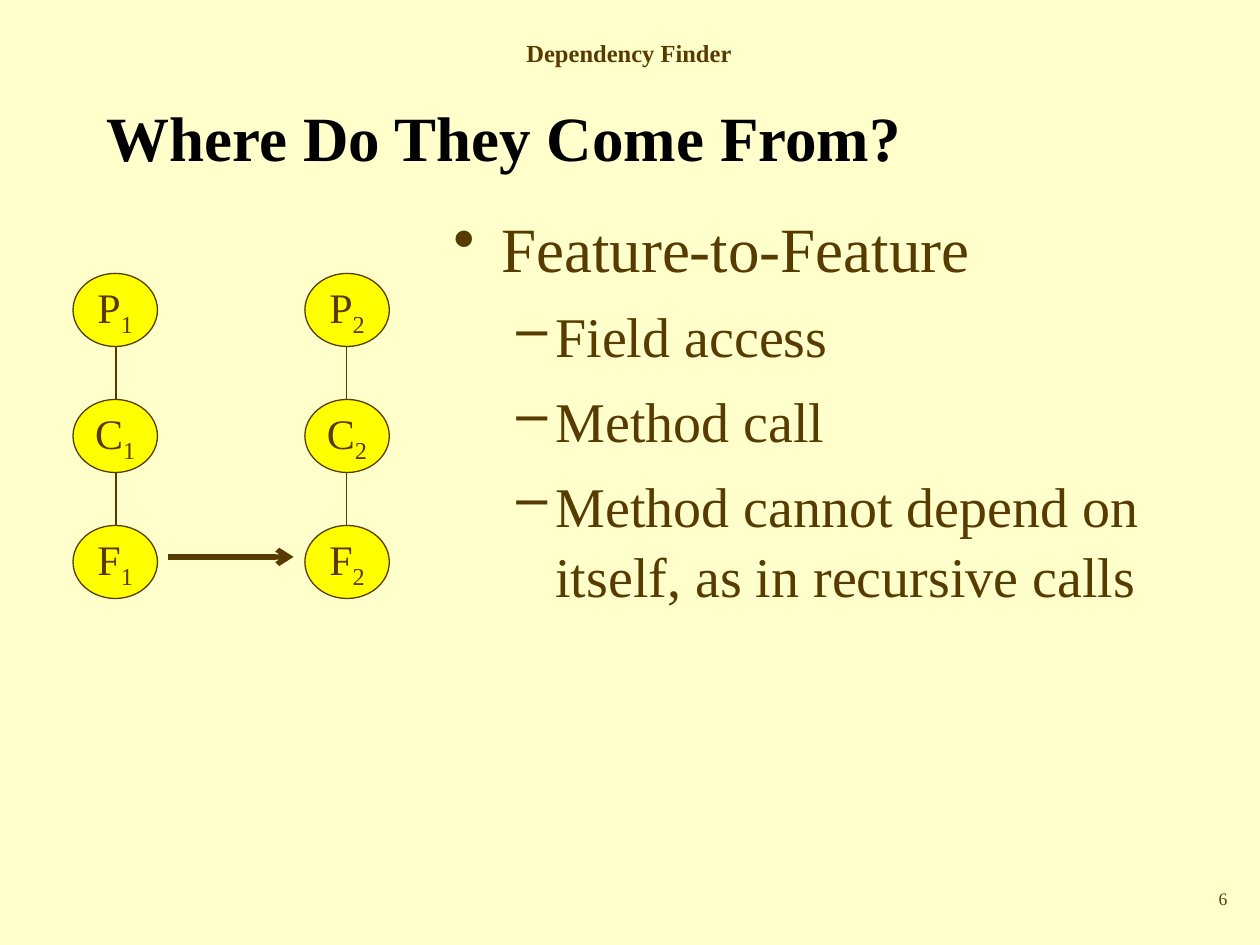
from pptx import Presentation
from pptx.dml.color import RGBColor
from pptx.enum.shapes import MSO_CONNECTOR, MSO_SHAPE
from pptx.enum.text import MSO_ANCHOR, PP_ALIGN
from pptx.oxml.ns import qn
from pptx.util import Inches, Pt
from lxml.etree import SubElement

CREAM = RGBColor(0xFF, 0xFF, 0xCC)
BROWN = RGBColor(0x58, 0x3B, 0x00)
YELLOW = RGBColor(0xFF, 0xFF, 0x00)
BLACK = RGBColor(0, 0, 0)


class SlideBuilder:
    font_name = "Times New Roman"

    def __init__(self, slide):
        self.slide = slide
        slide.background.fill.solid()
        slide.background.fill.fore_color.rgb = CREAM

    def run(self, paragraph, text, size, color=BROWN, bold=False):
        run = paragraph.add_run()
        run.text = text
        run.font.name = self.font_name
        run.font.size = Pt(size)
        run.font.color.rgb = color
        run.font.bold = bold
        return run

    def frame(self, left, top, width, height, wrap=True):
        box = self.slide.shapes.add_textbox(
            Inches(left), Inches(top), Inches(width), Inches(height))
        box.text_frame.word_wrap = wrap
        return box.text_frame

    def text(self, area, text, size, color=BROWN, bold=False,
             align=PP_ALIGN.LEFT, anchor=MSO_ANCHOR.TOP, wrap=True):
        frame = self.frame(*area, wrap=wrap)
        frame.vertical_anchor = anchor
        paragraph = frame.paragraphs[0]
        paragraph.alignment = align
        self.run(paragraph, text, size, color, bold)

    def bullets(self, area, items):
        frame = self.frame(*area)
        for index, (level, text) in enumerate(items):
            mark, size, margin, hanging, space = (
                ("–", 32, 0.81, 0.31, 8) if level else ("•", 36, 0.38, 0.38, 9))
            paragraph = frame.add_paragraph() if index else frame.paragraphs[0]
            properties = paragraph._p.get_or_add_pPr()
            properties.set("marL", str(Inches(margin)))
            properties.set("indent", str(-Inches(hanging)))
            bullet_color = SubElement(properties, qn("a:buClr"))
            SubElement(bullet_color, qn("a:srgbClr"), val=str(BROWN))
            SubElement(properties, qn("a:buChar"), char=mark)
            paragraph.level = level
            paragraph.line_spacing = 1.05
            if index:
                paragraph.space_before = Pt(space)
            self.run(paragraph, text, size)

    def line(self, start, end, weight=0.75, arrow=False):
        connector = self.slide.shapes.add_connector(
            MSO_CONNECTOR.STRAIGHT, *map(Inches, start + end))
        connector.line.color.rgb = BROWN
        connector.line.width = Pt(weight)
        if arrow:
            SubElement(connector.line._get_or_add_ln(), qn("a:tailEnd"), type="arrow")
        SubElement(connector._element.spPr, qn("a:effectLst"))

    def node(self, left, top, letter, subscript):
        ellipse = self.slide.shapes.add_shape(
            MSO_SHAPE.OVAL, Inches(left), Inches(top), Inches(0.67), Inches(0.58))
        ellipse.shadow.inherit = False
        ellipse.fill.solid()
        ellipse.fill.fore_color.rgb = YELLOW
        ellipse.line.color.rgb = BROWN
        ellipse.line.width = Pt(0.75)
        frame = ellipse.text_frame
        frame.word_wrap = False
        frame.vertical_anchor = MSO_ANCHOR.MIDDLE
        paragraph = frame.paragraphs[0]
        paragraph.alignment = PP_ALIGN.CENTER
        self.run(paragraph, letter, 24)
        index = self.run(paragraph, subscript, 24)
        index.font._element.set("baseline", "-25000")


def main():
    presentation = Presentation()
    presentation.slide_width = Inches(10)
    presentation.slide_height = Inches(7.5)
    builder = SlideBuilder(
        presentation.slides.add_slide(presentation.slide_layouts[6]))

    builder.text((4.08, 0.25, 1.83, 0.34), "Dependency Finder", 14,
                 bold=True, wrap=False)
    builder.text((0.75, 0.75, 8.5, 0.67), "Where Do They Come From?", 36,
                 BLACK, bold=True, anchor=MSO_ANCHOR.MIDDLE)
    builder.bullets((3.5, 1.58, 5.75, 5.08), [
        (0, "Feature-to-Feature"),
        (1, "Field access"),
        (1, "Method call"),
        (1, "Method cannot depend on itself, as in recursive calls"),
    ])

    for subscript, left, center in (("1", 0.58, 0.92), ("2", 2.42, 2.75)):
        builder.line((center, 2.5), (center, 4.5))
        for row, letter in enumerate("PCF"):
            builder.node(left, 2.17 + row, letter, subscript)
    builder.line((1.33, 4.42), (2.33, 4.42), weight=3, arrow=True)

    builder.text((7.17, 7, 2.67, 0.33), "6", 10, align=PP_ALIGN.RIGHT)
    presentation.save("out.pptx")


if __name__ == "__main__":
    main()
